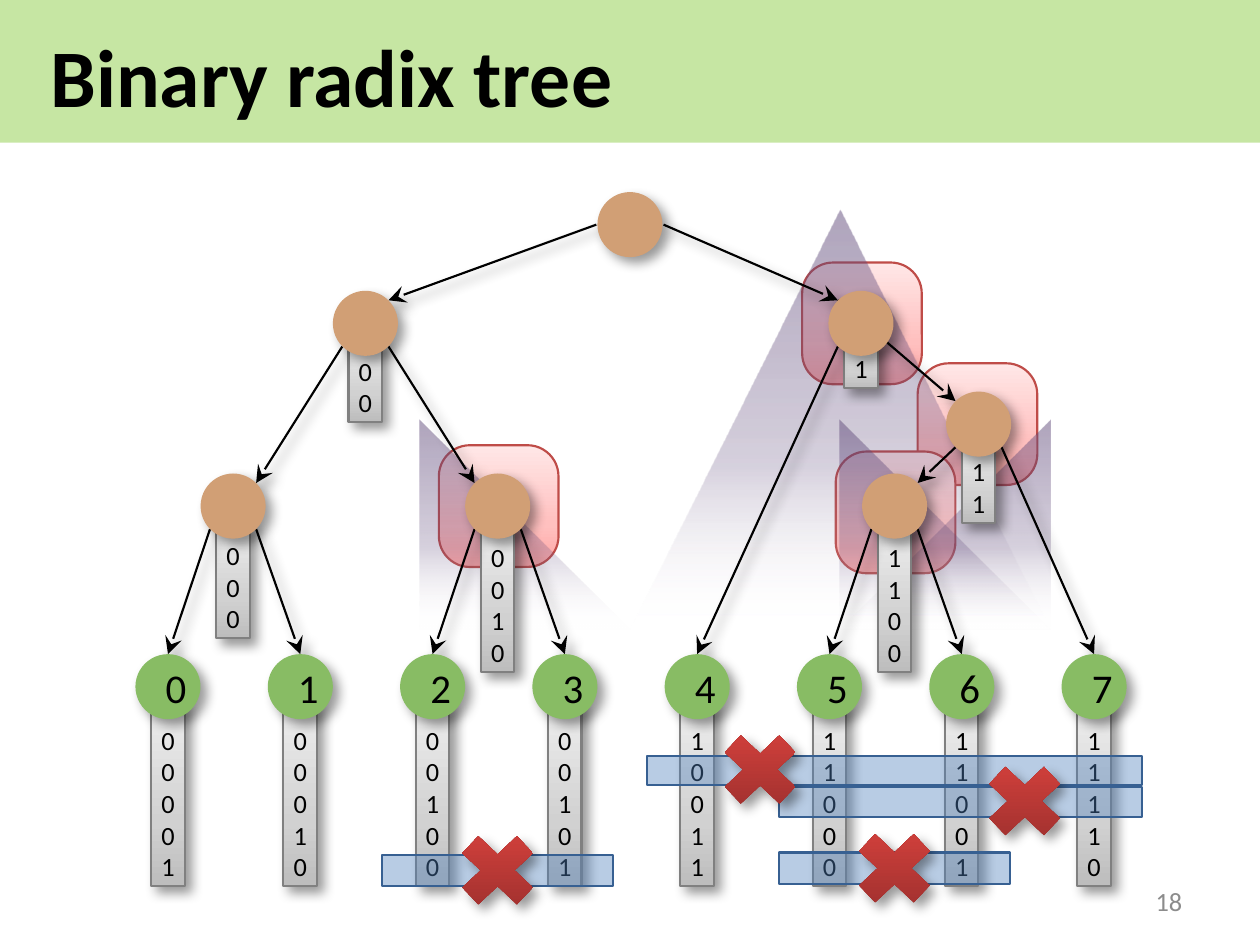
"""Build a slide that shows a binary radix tree over eight sorted keys."""
from typing import NamedTuple, Optional

from lxml import etree
from pptx import Presentation
from pptx.dml.color import RGBColor
from pptx.enum.shapes import MSO_CONNECTOR, MSO_SHAPE
from pptx.enum.text import MSO_ANCHOR, PP_ALIGN
from pptx.oxml.ns import qn
from pptx.util import Inches, Pt

RECT, ROUNDED = MSO_SHAPE.RECTANGLE, MSO_SHAPE.ROUNDED_RECTANGLE
OVAL, MULTIPLY = MSO_SHAPE.OVAL, MSO_SHAPE.MATH_MULTIPLY
STRAIGHT = MSO_CONNECTOR.STRAIGHT
MIDDLE, BOTTOM = MSO_ANCHOR.MIDDLE, MSO_ANCHOR.BOTTOM
LEFT, CENTER, RIGHT = PP_ALIGN.LEFT, PP_ALIGN.CENTER, PP_ALIGN.RIGHT

COLORS = {
    "header": "92D050", "text": "000000", "page": "8C8C8C",
    "inner": "D19F75", "leaf": "88BC64", "edge": "000000", "shadow": "000000",
    "highlight_line": "BF4C48", "prefix_line": "808080",
    "compare": "4F81BD", "compare_line": "376092",
}
FONT = "Calibri"
DIAMETER = 0.31
DIAGONAL = 0.11
PREFIX_WIDTH = 0.16


class Stop(NamedTuple):
    position: int
    color: str
    alpha: int = 100


class Node(NamedTuple):
    x: float
    y: float
    prefix: str = ""
    label: str = ""


class Edge(NamedTuple):
    parent: str
    child: str
    start: Optional[tuple[float, float]] = None


class Box(NamedTuple):
    left: float
    top: float
    width: float
    height: float


HIGHLIGHT = [Stop(0, "FFA6A5"), Stop(35, "FFC0BF"), Stop(100, "FFE7E7")]
CONE = [Stop(0, "604A7B", 50), Stop(61, "604A7B", 25), Stop(100, "FFFFFF", 0)]
PREFIX = [Stop(0, "BDBDBD"), Stop(35, "D1D1D1"), Stop(100, "EEEEEE")]
CROSS = [Stop(0, "9C2F2D"), Stop(80, "CB3E3A"), Stop(100, "CE3B37")]
COMPARE = [Stop(0, COLORS["compare"], 40)]

KEYS = ["00001", "00010", "00100", "00101", "10011", "11000", "11001", "11110"]
INNER = {
    "root": Node(3, 1.07),
    "00": Node(1.74, 1.54, "00"),
    "1": Node(4.1, 1.54, "1"),
    "11": Node(4.66, 2.02, "11"),
    "000": Node(1.11, 2.41, "000"),
    "0010": Node(2.37, 2.41, "0010"),
    "1100": Node(4.26, 2.41, "1100"),
}
LEAVES = {key: Node(0.8 + 0.63 * i, 3.27, key, str(i)) for i, key in enumerate(KEYS)}
NODES = INNER | LEAVES
EDGES = [
    Edge("root", "00", (2.84, 1.07)), Edge("root", "1", (3.16, 1.07)),
    Edge("00", "000"), Edge("00", "0010"),
    Edge("000", "00001"), Edge("000", "00010"),
    Edge("0010", "00100"), Edge("0010", "00101"),
    Edge("1", "10011"), Edge("1", "11", (3.99, 1.43)),
    Edge("11", "1100"), Edge("11", "11110"),
    Edge("1100", "11000"), Edge("1100", "11001"),
]
HIGHLIGHTS = [(2.09, 2.12), (3.82, 1.25), (4.37, 1.73), (3.98, 2.15)]
CONES = [
    [(4.12, 1.42), (5.38, 3.17), (5.38, 3.44), (3.12, 3.45), (3.12, 3.14)],
    [(4.65, 1.87), (5.42, 3.14), (5.43, 3.45), (3.75, 3.45), (3.75, 3.14)],
    [(4.26, 2.26), (4.8, 3.15), (4.81, 3.42), (3.71, 3.39), (3.72, 3.16)],
    [(2.37, 2.29), (2.91, 3.18), (2.92, 3.45), (1.82, 3.42), (1.83, 3.19)],
]
COMPARISONS = [
    Box(1.82, 4.07, 1.1, 0.15), Box(3.08, 3.6, 2.36, 0.14),
    Box(3.71, 3.75, 1.73, 0.14), Box(3.71, 4.06, 1.1, 0.15),
]
CROSSES = [(2.12, 3.91), (3.37, 3.43), (4.63, 3.58), (4.01, 3.9)]


def add_color(parent, color: str, alpha: int) -> None:
    """Append a colour with its opacity in percent."""
    srgb = etree.SubElement(parent, qn("a:srgbClr"), val=color)
    if alpha < 100:
        etree.SubElement(srgb, qn("a:alpha"), val=str(alpha * 1000))


def style(shape, stops: list[Stop], angle: int = 270, line: str = "", shadow: bool = False) -> None:
    """Fill a new shape, outline it and set its shadow."""
    properties = shape.element.spPr
    if len(stops) == 1:
        solid = etree.SubElement(properties, qn("a:solidFill"))
        add_color(solid, stops[0].color, stops[0].alpha)
    else:
        gradient = etree.SubElement(properties, qn("a:gradFill"), rotWithShape="1")
        stop_list = etree.SubElement(gradient, qn("a:gsLst"))
        for stop in stops:
            entry = etree.SubElement(stop_list, qn("a:gs"), pos=str(stop.position * 1000))
            add_color(entry, stop.color, stop.alpha)
        etree.SubElement(gradient, qn("a:lin"), ang=str(angle * 60000), scaled="0")
    if line:
        shape.line.color.rgb = RGBColor.from_string(line)
        shape.line.width = Pt(0.75)
    else:
        shape.line.fill.background()
    set_effects(shape, shadow)


def set_effects(shape, shadow: bool) -> None:
    """End the shape properties with a soft shadow or with none."""
    effects = etree.SubElement(shape.element.spPr, qn("a:effectLst"))
    if shadow:
        outer = etree.SubElement(effects, qn("a:outerShdw"), blurRad=str(Pt(4)), dist=str(Pt(3)),
                                 dir=str(45 * 60000), algn="tl", rotWithShape="0")
        add_color(outer, COLORS["shadow"], 40)


def write(shape, text: str, *, size: float, color: str = COLORS["text"], bold: bool = False,
          align=CENTER, anchor=MIDDLE, inset: tuple[float, float] = (0.07, 0.04)) -> None:
    """Put one formatted paragraph into a shape."""
    frame = shape.text_frame
    frame.word_wrap = True
    frame.vertical_anchor = anchor
    frame.margin_left = frame.margin_right = Inches(inset[0])
    frame.margin_top = frame.margin_bottom = Inches(inset[1])
    paragraph = frame.paragraphs[0]
    paragraph.text = text
    paragraph.alignment = align
    font = paragraph.font
    font.name, font.size, font.bold = FONT, Pt(size), bold
    font.color.rgb = RGBColor.from_string(color)


def add_box(slide, kind, box: Box, stops: list[Stop], **look):
    """Draw a styled preset shape."""
    shape = slide.shapes.add_shape(kind, *map(Inches, box))
    style(shape, stops, **look)
    return shape


def add_cone(slide, points: list[tuple[float, float]]) -> None:
    """Draw the fading area below a subtree root."""
    builder = slide.shapes.build_freeform(*points[0], scale=Inches(1))
    builder.add_line_segments(points[1:], close=True)
    style(builder.convert_to_shape(), CONE, angle=90)


def add_prefix(slide, node: Node) -> None:
    """Draw the bar that holds the bits of a node."""
    box = Box(node.x - PREFIX_WIDTH / 2, node.y + 0.08, PREFIX_WIDTH, 0.07 + 0.16 * len(node.prefix))
    bar = add_box(slide, RECT, box, PREFIX, line=COLORS["prefix_line"], shadow=True)
    write(bar, node.prefix, size=9, anchor=BOTTOM, inset=(0.02, 0.02))


def add_node(slide, node: Node) -> None:
    """Draw the circle of an inner node or a numbered leaf."""
    fill = COLORS["leaf" if node.label else "inner"]
    box = Box(node.x - DIAMETER / 2, node.y - DIAMETER / 2, DIAMETER, DIAMETER)
    circle = add_box(slide, OVAL, box, [Stop(0, fill)], shadow=True)
    if node.label:
        write(circle, node.label, size=14, inset=(0.1, 0.05))


def add_edge(slide, edge: Edge) -> None:
    """Draw the arrow from a parent to its child."""
    parent, child = NODES[edge.parent], NODES[edge.child]
    reach = DIAGONAL if child.x > parent.x else -DIAGONAL
    start = edge.start or (parent.x + reach, parent.y + DIAGONAL)
    end = (child.x, child.y - DIAMETER / 2) if child.label else (child.x - reach, child.y - DIAGONAL)
    arrow = slide.shapes.add_connector(STRAIGHT, *map(Inches, start + end))
    arrow.line.color.rgb = RGBColor.from_string(COLORS["edge"])
    arrow.line.width = Pt(0.75)
    etree.SubElement(arrow.element.spPr.find(qn("a:ln")), qn("a:tailEnd"), type="stealth")
    set_effects(arrow, True)


def main() -> None:
    """Build and save the slide."""
    deck = Presentation()
    deck.slide_width, deck.slide_height = Inches(6), Inches(4.5)
    slide = deck.slides.add_slide(deck.slide_layouts[5])

    title = slide.shapes.title
    title.left, title.top, title.width, title.height = map(Inches, (0.17, 0.08, 5.64, 0.55))
    write(title, "Binary radix tree", size=28, bold=True, align=LEFT)
    header = add_box(slide, RECT, Box(0, 0, 6.02, 0.68), [Stop(0, COLORS["header"], 52)])
    title.element.addprevious(header.element)

    for corner in HIGHLIGHTS:
        highlight = add_box(slide, ROUNDED, Box(*corner, 0.57, 0.58), HIGHLIGHT, line=COLORS["highlight_line"])
        highlight.adjustments[0] = 0.26
    for cone in CONES:
        add_cone(slide, cone)
    for node in NODES.values():
        if node.prefix:
            add_prefix(slide, node)
    for edge in EDGES:
        add_edge(slide, edge)
    for node in NODES.values():
        add_node(slide, node)
    for comparison in COMPARISONS:
        add_box(slide, RECT, comparison, COMPARE, line=COLORS["compare_line"])
    for corner in CROSSES:
        add_box(slide, MULTIPLY, Box(*corner, 0.5, 0.47), CROSS, shadow=True)

    page_number = slide.shapes.add_textbox(*map(Inches, (4.3, 4.17, 1.4, 0.24)))
    write(page_number, "18", size=9, color=COLORS["page"], align=RIGHT)
    deck.save("out.pptx")


if __name__ == "__main__":
    main()
